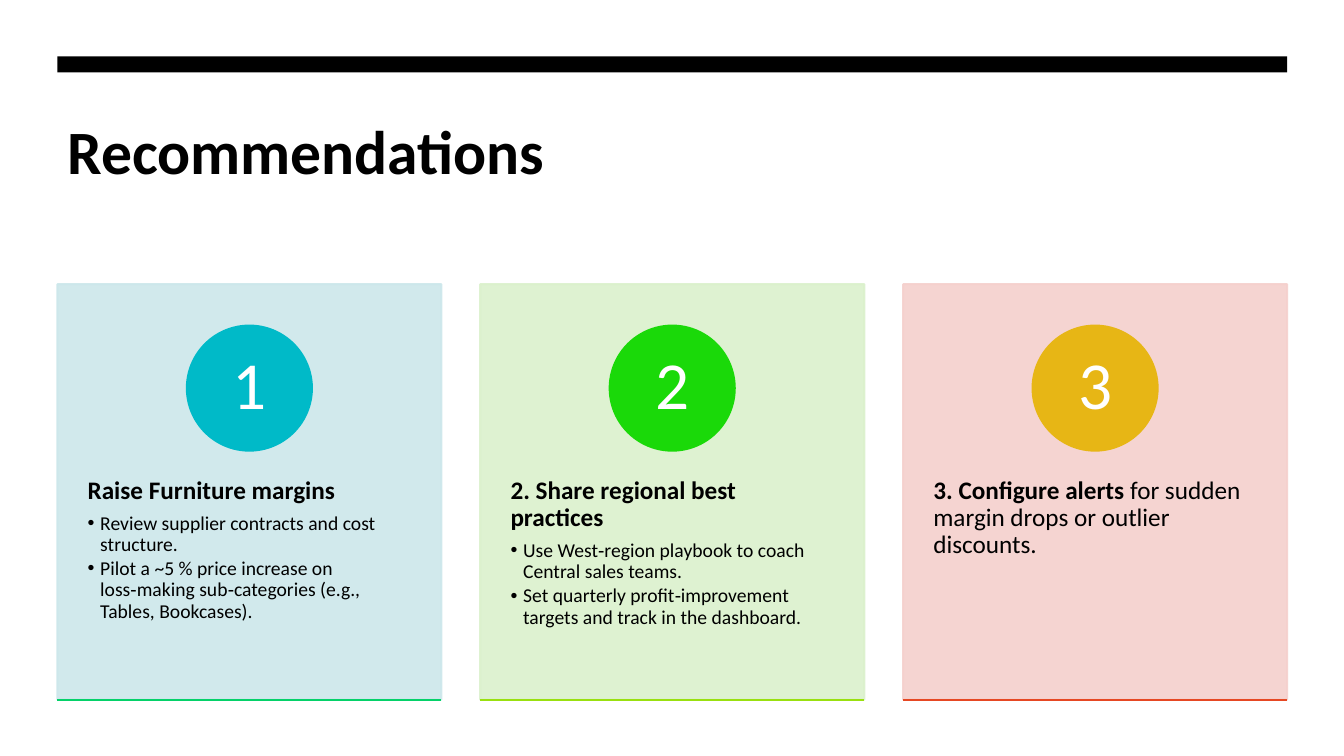
from lxml.etree import SubElement
from pptx import Presentation
from pptx.dml.color import RGBColor
from pptx.enum.shapes import MSO_CONNECTOR, MSO_SHAPE
from pptx.enum.text import MSO_ANCHOR, MSO_AUTO_SIZE, PP_ALIGN
from pptx.oxml.ns import qn
from pptx.util import Pt

FONT = "Calibri"
COLORS = {
    "text": "000000", "bar": "000000", "number": "FFFFFF",
    "card1": "CCE7EB", "circle1": "00BAC8", "accent1": "04D169",
    "card2": "DBF1CC", "circle2": "1AD909", "accent2": "99E00F",
    "card3": "F5D0CD", "circle3": "E7B615", "accent3": "E64823",
}
MARGIN, CONTENT_WIDTH = 41, 878.4
CARD_WIDTH, CARD_TOP, CARD_HEIGHT = 274.3, 203, 296.7
CARD_PITCH = (CONTENT_WIDTH - CARD_WIDTH) / 2
CIRCLE_TOP, CIRCLE_SIZE = 232.6, 89.3
TEXT_TOP, TEXT_HEIGHT = 315.4, 177.8

# Each card: bold lead, rest of the lead, bullets
CARDS = [
    ("Raise Furniture margins", "", [
        "Review supplier contracts and cost structure.",
        "Pilot a ~5 % price increase on loss‑making sub‑categories (e.g., Tables, Bookcases).",
    ]),
    ("2. Share regional best practices", "", [
        "Use West‑region playbook to coach Central sales teams.",
        "Set quarterly profit‑improvement targets and track in the dashboard.",
    ]),
    ("3. Configure alerts", " for sudden margin drops or outlier discounts.", []),
]


def color(name):
    return RGBColor.from_string(COLORS[name])


def place(shape, left, top, width, height):
    shape.left, shape.top = Pt(left), Pt(top)
    shape.width, shape.height = Pt(width), Pt(height)


def set_margins(frame, horizontal, vertical):
    frame.margin_left = frame.margin_right = Pt(horizontal)
    frame.margin_top = frame.margin_bottom = Pt(vertical)


def style_font(font, size, color_name):
    font.name, font.size = FONT, Pt(size)
    font.color.rgb = color(color_name)


def set_spacing(paragraph, after):
    paragraph.line_spacing = 0.9
    paragraph.space_before, paragraph.space_after = Pt(0), Pt(after)


def set_bullet(paragraph, indent, character=None):
    """Set the hanging indent and the bullet; no character means no bullet."""
    properties = paragraph._p.get_or_add_pPr()
    properties.set("marL", str(Pt(indent)))
    properties.set("indent", str(-Pt(indent)))
    if character:
        SubElement(properties, qn("a:buChar")).set("char", character)
    else:
        SubElement(properties, qn("a:buNone"))


def set_alpha(color_format_parent, percent):
    for rgb in color_format_parent.iter(qn("a:srgbClr")):
        SubElement(rgb, qn("a:alpha")).set("val", str(percent * 1000))


def add_shape(slide, kind, box, color_name):
    left, top, width, height = box
    shape = slide.shapes.add_shape(kind, Pt(left), Pt(top), Pt(width), Pt(height))
    shape.shadow.inherit = False
    shape.fill.solid()
    shape.fill.fore_color.rgb = color(color_name)
    shape.line.color.rgb = color(color_name)
    shape.line.width = Pt(1.5)
    return shape


def add_number(slide, left, number):
    box = (left + (CARD_WIDTH - CIRCLE_SIZE) / 2, CIRCLE_TOP, CIRCLE_SIZE, CIRCLE_SIZE)
    circle = add_shape(slide, MSO_SHAPE.OVAL, box, f"circle{number}")
    frame = circle.text_frame
    frame.vertical_anchor = MSO_ANCHOR.MIDDLE
    set_margins(frame, 7, 1)
    paragraph = frame.paragraphs[0]
    paragraph.text = str(number)
    paragraph.alignment = PP_ALIGN.CENTER
    paragraph.line_spacing = 0.9
    style_font(paragraph.font, 48, "number")


def add_accent(slide, left, color_name):
    bottom = CARD_TOP + CARD_HEIGHT
    line = slide.shapes.add_connector(
        MSO_CONNECTOR.STRAIGHT, Pt(left), Pt(bottom), Pt(left + CARD_WIDTH), Pt(bottom))
    line.line.color.rgb = color(color_name)
    line.line.width = Pt(1.5)
    SubElement(line.element.spPr, qn("a:effectLst"))


def fill_body(body, left, lead, rest, bullets):
    place(body, left, TEXT_TOP, CARD_WIDTH, TEXT_HEIGHT)
    frame = body.text_frame
    frame.auto_size = MSO_AUTO_SIZE.NONE
    frame.vertical_anchor = MSO_ANCHOR.TOP
    set_margins(frame, 21.6, 25.6)

    heading = frame.paragraphs[0]
    set_spacing(heading, 6.3)
    set_bullet(heading, 0)
    style_font(heading.font, 18, "text")
    for text, bold in ((lead, True), (rest, False)):
        if text:
            run = heading.add_run()
            run.text, run.font.bold = text, bold

    for text in bullets:
        paragraph = frame.add_paragraph()
        paragraph.text, paragraph.level = text, 1
        set_spacing(paragraph, 2.1)
        set_bullet(paragraph, 9, "•")
        style_font(paragraph.font, 14, "text")
        paragraph.font.bold = False


def add_card(slide, body, number, content):
    left = MARGIN + (number - 1) * CARD_PITCH
    box = (left, CARD_TOP, CARD_WIDTH, CARD_HEIGHT)
    card = add_shape(slide, MSO_SHAPE.RECTANGLE, box, f"card{number}")
    set_alpha(card.element.spPr, 90)
    card.element.addnext(body.element)  # keeps the text in front of its card
    fill_body(body, left, *content)
    add_number(slide, left, number)
    add_accent(slide, left, f"accent{number}")


def fill_title(title):
    place(title, MARGIN, 77, CONTENT_WIDTH, 115.2)
    frame = title.text_frame
    frame.auto_size = MSO_AUTO_SIZE.NONE
    frame.vertical_anchor = MSO_ANCHOR.TOP
    paragraph = frame.paragraphs[0]
    paragraph.text = "Recommendations"
    paragraph.alignment = PP_ALIGN.LEFT
    style_font(paragraph.font, 44, "text")
    paragraph.font.bold = True


def main():
    presentation = Presentation()
    presentation.slide_width, presentation.slide_height = Pt(960), Pt(540)
    comparison_layout = presentation.slide_layouts[4]
    slide = presentation.slides.add_slide(comparison_layout)
    title, *bodies, spare = slide.placeholders
    spare.element.getparent().remove(spare.element)

    fill_title(title)
    bar = add_shape(slide, MSO_SHAPE.RECTANGLE, (MARGIN, 40.3, CONTENT_WIDTH, 11.5), "bar")
    bar.line.fill.background()
    for number, (body, content) in enumerate(zip(bodies, CARDS), start=1):
        add_card(slide, body, number, content)

    presentation.save("out.pptx")


if __name__ == "__main__":
    main()
